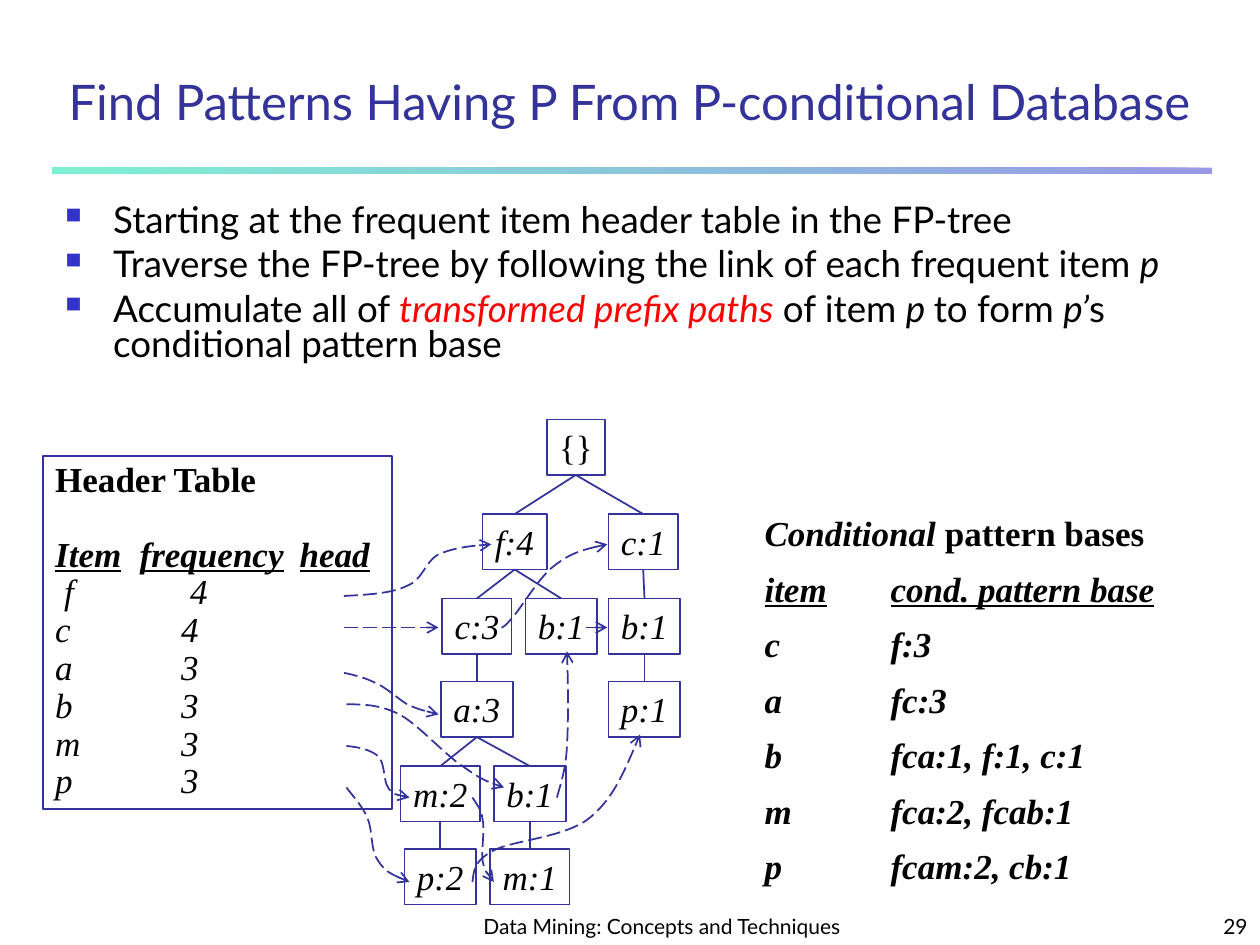
from lxml import etree
from pptx import Presentation
from pptx.dml.color import RGBColor
from pptx.enum.dml import MSO_LINE
from pptx.enum.shapes import MSO_CONNECTOR, MSO_SHAPE
from pptx.enum.text import MSO_ANCHOR, PP_ALIGN
from pptx.oxml.ns import qn
from pptx.util import Inches, Pt

RECT = MSO_SHAPE.RECTANGLE
LINE = MSO_CONNECTOR.STRAIGHT
DASH = MSO_LINE.LONG_DASH
TOP, LOW = MSO_ANCHOR.TOP, MSO_ANCHOR.BOTTOM
LEFT, MID, RIGHT = PP_ALIGN.LEFT, PP_ALIGN.CENTER, PP_ALIGN.RIGHT

NAVY = RGBColor(0x33, 0x33, 0x99)
BLUE = RGBColor(0x33, 0x33, 0xCC)
MINT = RGBColor(0x00, 0xE4, 0xA8)
RED = RGBColor(0xFF, 0x00, 0x00)
BLACK = RGBColor(0x00, 0x00, 0x00)

SANS, SERIF = "Lato", "Times New Roman"
HEAD = {"name": SANS, "size": Pt(28)}
BODY = {"name": SANS, "size": Pt(21)}
FOOT = {"name": SANS, "size": Pt(12)}
PLAIN = {"name": SERIF, "size": Pt(20)}
ITAL = {**PLAIN, "italic": True}
BOLD = {**PLAIN, "bold": True}
BOTH = {**BOLD, "italic": True}
UNDER = {**BOTH, "underline": True}
SLANT = {**BODY, "italic": True}

ROWS = [3.33, 4.08, 4.75, 5.41, 6.08, 6.74]
NODES = {
    "root": ("{}", 4.34, 0, 0.46),
    "f4": ("f:4", 3.83, 1, 0.51),
    "c1": ("c:1", 4.83, 1, 0.55),
    "b1c": ("b:1", 4.83, 2, 0.57),
    "p1": ("p:1", 4.83, 3, 0.57),
    "b1f": ("b:1", 4.17, 2, 0.57),
    "c3": ("c:3", 3.51, 2, 0.55),
    "a3": ("a:3", 3.5, 3, 0.57),
    "b1a": ("b:1", 3.92, 4, 0.57),
    "m2": ("m:2", 3.18, 4, 0.63),
    "p2": ("p:2", 3.21, 5, 0.57),
    "m1": ("m:1", 3.89, 5, 0.63),
}
EDGES = [
    ("root", "f4"), ("root", "c1"), ("c1", "b1c"), ("b1c", "p1"),
    ("f4", "c3"), ("f4", "b1f"), ("c3", "a3"), ("a3", "m2"),
    ("a3", "b1a"), ("m2", "p2"), ("b1a", "m1"),
]
CURVES = [
    [(2.73, 4.73), (2.92, 4.72), (3.11, 4.71), (3.23, 4.65), (3.36, 4.6),
     (3.37, 4.46), (3.48, 4.4), (3.6, 4.35), (3.75, 4.33), (3.9, 4.32)],
    [(3.98, 4.98), (3.99, 4.98), (4, 4.98), (4.07, 4.9), (4.14, 4.82),
     (4.28, 4.58), (4.4, 4.49), (4.53, 4.39), (4.67, 4.35), (4.82, 4.32)],
    [(2.73, 5.34), (2.82, 5.36), (2.9, 5.38), (2.98, 5.42), (3.07, 5.46),
     (3.15, 5.54), (3.23, 5.59), (3.32, 5.63), (3.4, 5.65), (3.48, 5.67)],
    [(2.75, 5.59), (2.88, 5.59), (3.01, 5.59), (3.17, 5.67), (3.32, 5.75),
     (3.53, 5.99), (3.67, 6.08), (3.81, 6.18), (3.9, 6.22), (4, 6.25)],
    [(4.42, 6.33), (4.45, 6.22), (4.49, 6.11), (4.5, 5.92), (4.51, 5.72),
     (4.51, 5.45), (4.5, 5.17)],
    [(2.75, 5.92), (2.85, 5.93), (2.94, 5.95), (3, 6), (3.06, 6.06),
     (3.04, 6.19), (3.08, 6.25), (3.12, 6.31), (3.19, 6.32), (3.25, 6.33)],
    [(3.75, 6.33), (3.78, 6.38), (3.82, 6.42), (3.83, 6.5), (3.85, 6.58),
     (3.82, 6.75), (3.83, 6.83), (3.85, 6.92), (3.88, 6.96), (3.92, 7)],
    [(2.75, 6.25), (2.81, 6.33), (2.88, 6.4), (2.92, 6.5), (2.96, 6.6),
     (2.94, 6.75), (3, 6.83), (3.06, 6.92), (3.15, 6.96), (3.25, 7)],
    [(3.75, 7), (3.76, 6.92), (3.76, 6.83), (3.92, 6.75), (4.07, 6.67),
     (4.47, 6.65), (4.67, 6.5), (4.86, 6.35), (4.97, 6.09), (5.08, 5.83)],
]
LINKS = [(2.73, 3.48), (4.65, 4.82)]
COUNTS = [("f", 4), ("c", 4), ("a", 3), ("b", 3), ("m", 3), ("p", 3)]
BASES = [("c", "f:3"), ("a", "fc:3"), ("b", "fca:1, f:1, c:1"),
         ("m", "fca:2, fcab:1"), ("p", "fcam:2, cb:1")]


def add_sub(node, tag, **attrs):
    return etree.SubElement(node, qn(tag), attrs)


def set_all(item, style):
    for name, value in style.items():
        setattr(item, name, value)


def add_para(frame, runs, first, tabs=(), indent=0, **style):
    para = frame.paragraphs[0] if first else frame.add_paragraph()
    props = para._p.get_or_add_pPr()
    if indent:
        props.set("marL", str(Inches(indent)))
    if tabs:
        stops = add_sub(props, "a:tabLst")
        for tab in tabs:
            add_sub(stops, "a:tab", pos=str(Inches(tab)), algn="l")
    set_all(para, {"alignment": LEFT, **style})
    for text, font, color in runs:
        run = para.add_run()
        run.text = text
        set_all(run.font, font)
        run.font.color.rgb = color
    return para


def add_text(slide, box, anchor=TOP):
    frame = slide.shapes.add_textbox(*map(Inches, box)).text_frame
    set_all(frame, {"word_wrap": True, "vertical_anchor": anchor})
    return frame


def add_label(slide, box, text, font, align, color=BLACK):
    add_para(add_text(slide, box, LOW), [(text, font, color)], True,
             alignment=align)


def set_line(shape, arrow=False):
    shape.line.color.rgb = NAVY
    shape.line.width = Pt(1)
    if arrow:
        shape.line.dash_style = DASH
        add_sub(shape._element.spPr.find(qn("a:ln")), "a:tailEnd",
                type="arrow")


def add_box(slide, box, wrap):
    shape = slide.shapes.add_shape(RECT, *map(Inches, box))
    shape.shadow.inherit = False
    shape.fill.background()
    set_line(shape)
    set_all(shape.text_frame, {"word_wrap": wrap, "vertical_anchor": TOP})
    return shape


def add_line(slide, ends=(0, 0, 0, 0), arrow=False):
    line = slide.shapes.add_connector(LINE, *map(Inches, ends))
    set_line(line, arrow)
    add_sub(line._element.spPr, "a:effectLst")
    return line


def add_curve(slide, points):
    spots = [(Inches(x), Inches(y)) for x, y in points]
    form = slide.shapes.build_freeform(*spots[0])
    form.add_line_segments(spots[1:], close=False)
    shape = form.convert_to_shape()
    steps = list(shape._element.iter(qn("a:lnTo")))
    for i in range(0, len(steps), 3):
        bend = add_sub(steps[i].getparent(), "a:cubicBezTo")
        for step in steps[i:i + 3]:
            bend.append(step[0])
            step.getparent().remove(step)
    shape.shadow.inherit = False
    shape.fill.background()
    set_line(shape, True)


def add_bar(slide):
    bar = slide.shapes.add_shape(
        RECT, Inches(0.42), Inches(1.33), Inches(9.2), Inches(0.05))
    bar.shadow.inherit = False
    bar.line.fill.background()
    bar.fill.gradient()
    bar.fill.gradient_angle = 180
    for stop, color in zip(bar.fill.gradient_stops, (BLUE, MINT)):
        stop.color.rgb = color
    for tone in bar._element.spPr.iter(qn("a:srgbClr")):
        add_sub(tone, "a:alpha", val="50000")


def add_points(slide):
    lines = [
        [("Starting at the frequent item header table in the FP-tree", BODY, BLACK)],
        [("Traverse the FP-tree by following the link of each frequent item ",
          BODY, BLACK), ("p", SLANT, BLACK)],
        [("Accumulate all of ", BODY, BLACK),
         ("transformed prefix paths", SLANT, RED),
         (" of item ", BODY, BLACK), ("p ", SLANT, BLACK),
         ("to form ", BODY, BLACK), ("p’", SLANT, BLACK),
         ("s conditional pattern base", BODY, BLACK)],
    ]
    frame = add_text(slide, (0.42, 1.58, 9.17, 1.67))
    for i, runs in enumerate(lines):
        para = add_para(frame, runs, i == 0, indent=0.38, line_spacing=0.8,
                        space_before=Pt(5.2 if i else 0))
        props = para._p.pPr
        props.set("indent", str(-Inches(0.38)))
        add_sub(add_sub(props, "a:buClr"), "a:srgbClr", val=str(BLUE))
        add_sub(props, "a:buSzPct", val="60000")
        add_sub(props, "a:buChar", char="■")


def add_bases(slide):
    frame = add_text(slide, (5.97, 4.01, 3.64, 3.08))
    add_para(frame, [("Conditional ", BOTH, BLACK),
                     ("pattern bases", BOLD, BLACK)], True)
    for i, pair in enumerate([("item", "cond. pattern base"), *BASES]):
        font = BOTH if i else UNDER
        add_para(frame, [("\t".join(pair), font, BLACK)], False, [1],
                 line_spacing=0.8, space_before=Pt(12.5))


def add_tree(slide):
    boxes = {}
    for key, (text, left, row, width) in NODES.items():
        box = add_box(slide, (left, ROWS[row], width, 0.44), False)
        font = PLAIN if key == "root" else ITAL
        add_para(box.text_frame, [(text, font, BLACK)], True)
        boxes[key] = box
    for start, end in EDGES:
        line = add_line(slide)
        line.begin_connect(boxes[start], 2)
        line.end_connect(boxes[end], 0)


def add_header(slide):
    frame = add_box(slide, (0.34, 3.62, 2.77, 2.8), True).text_frame
    add_para(frame, [("Header Table", BOLD, BLACK)], True, line_spacing=0.9)
    add_para(frame, [("Item\tfrequency\thead", UNDER, BLACK)], False,
             [0.67, 1.94], line_spacing=0.9, space_before=Pt(21))
    for i, (item, count) in enumerate(COUNTS):
        add_para(frame, [(f"{item}\t{count}", ITAL, BLACK)], False, [1],
                 indent=0 if i else 0.07, line_spacing=0.9)


def main():
    deck = Presentation()
    deck.slide_width, deck.slide_height = Inches(10), Inches(7.5)
    slide = deck.slides.add_slide(deck.slide_layouts[6])
    add_bar(slide)
    add_label(slide, (0.33, 0.33, 9.33, 0.75),
              "Find Patterns Having P From P-conditional Database",
              HEAD, MID, NAVY)
    add_points(slide)
    add_bases(slide)
    add_tree(slide)
    add_header(slide)
    for points in CURVES:
        add_curve(slide, points)
    for start, end in LINKS:
        add_line(slide, (start, 4.98, end, 4.98), True)
    add_label(slide, (3.67, 7.08, 3.17, 0.42),
              "Data Mining: Concepts and Techniques", FOOT, MID)
    add_label(slide, (7.92, 7.08, 2.08, 0.42), "29", FOOT, RIGHT)
    deck.save("out.pptx")


if __name__ == "__main__":
    main()
